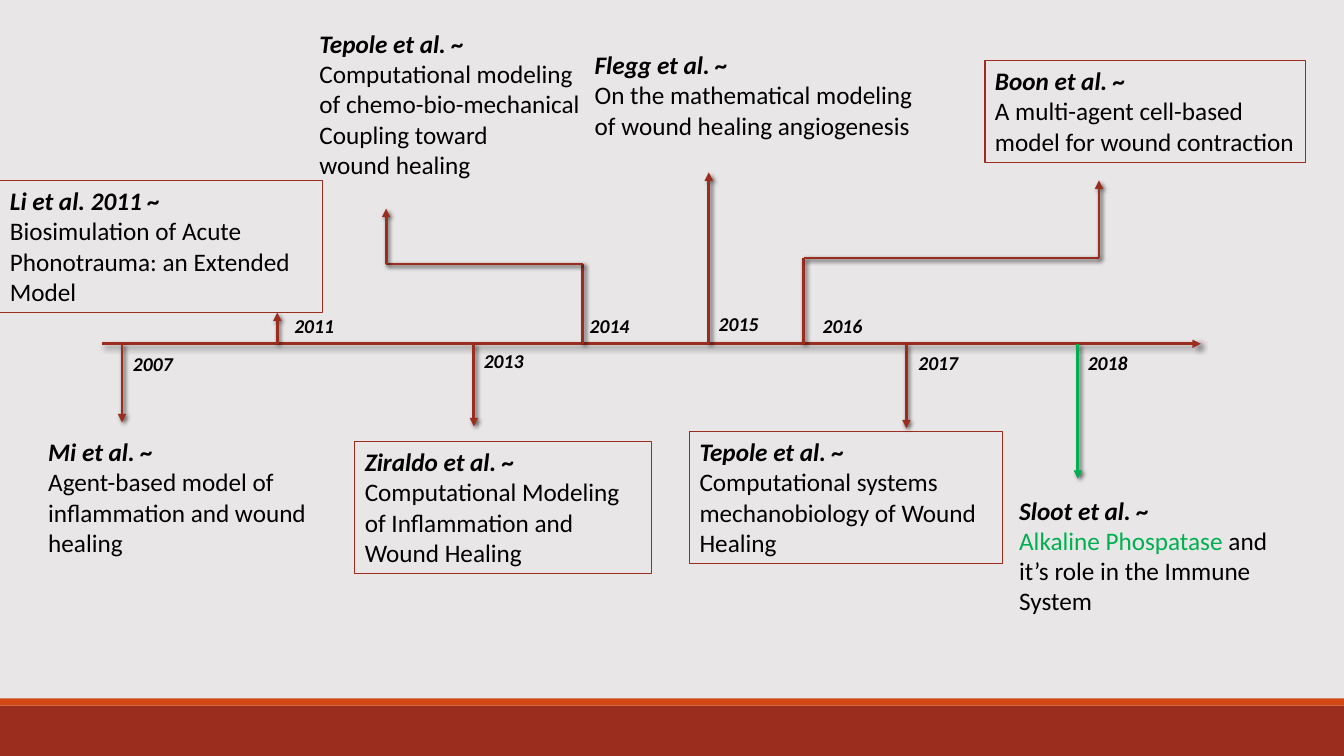
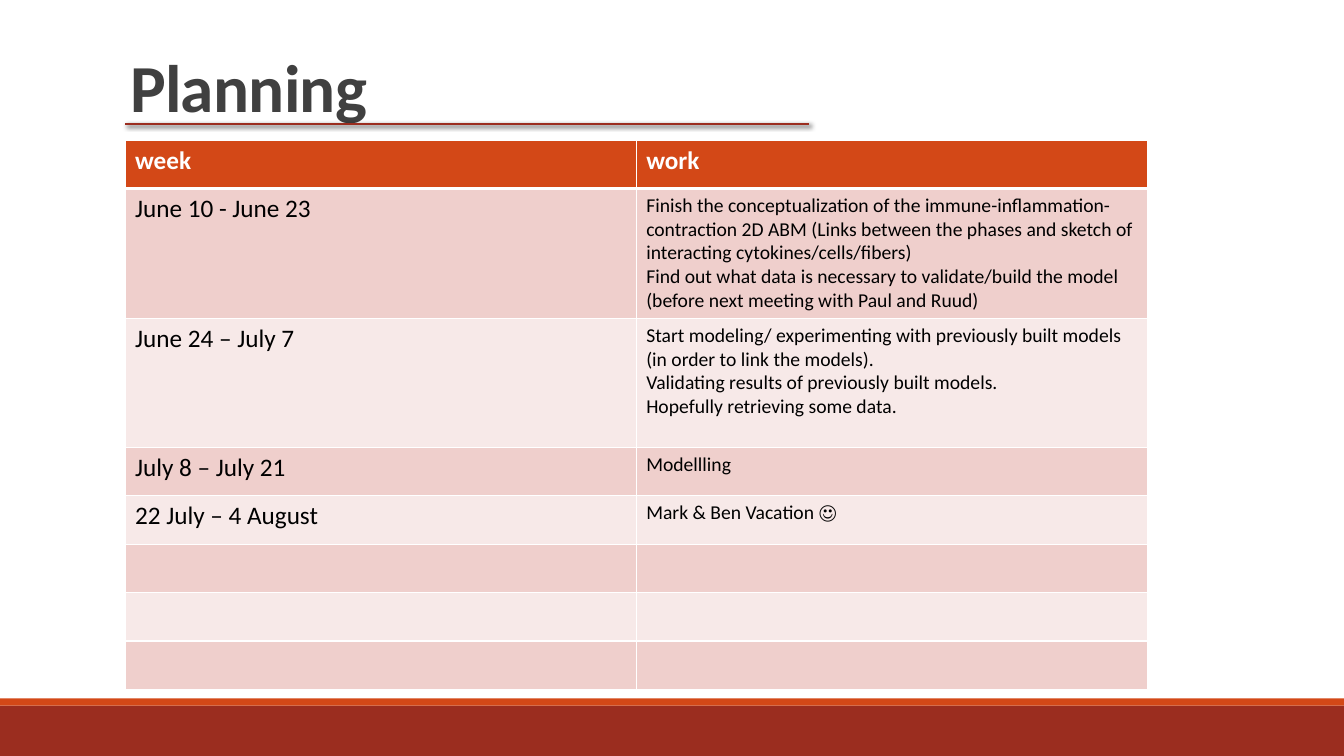
from dataclasses import dataclass
from typing import Optional

import pptx
import pptx.dml.color
import pptx.enum.shapes
import pptx.enum.text
import pptx.oxml
import pptx.oxml.ns
import pptx.presentation
import pptx.slide
import pptx.text.text
import pptx.util

Inches = pptx.util.Inches
Pt = pptx.util.Pt
Point = tuple[float, float]
Box = tuple[float, float, float, float]

# Shared look
FONT = "Calibri"
COLORS = {
    "brick": "9B2D1F", "orange": "D34817", "green": "00B050",
    "text": "000000", "title": "404040", "white": "FFFFFF",
    "timeline_bg": "E9E6E7", "row_dark": "EFCFCC", "row_light": "F7E9E8",
}
WIDTH, HEIGHT = 13.33, 7.5
AXIS_Y = 3.41
YEAR_SIZE = (0.82, 0.34)


@dataclass
class Span:
    text: str
    size: float = 18
    color: str = "text"
    bold: bool = False
    italic: bool = False


@dataclass
class Study:
    """A paper on the timeline, with the arrow that leads from the axis to it."""
    year: str
    year_at: Point
    route: list[Point]
    box: Box
    heading: str
    body: list[list[Span]]
    border: Optional[float] = None
    color: str = "brick"


@dataclass
class Period:
    week: str
    work: list[str]
    height: float = 0.48


STUDIES = [
    Study("2007", (1.22, 3.44), [(1.21, AXIS_Y), (1.21, 4.19)],
          (0.38, 4.28, 2.8, 1.31), "Mi et al. ~",
          [[Span("Agent-based model of inflammation and wound healing")]]),
    Study("2011", (2.82, 3.07), [(2.75, AXIS_Y), (2.75, 3.1)],
          (0, 1.79, 3.2, 1.31), "Li et al. 2011 ~",
          [[Span("Biosimulation of Acute Phonotrauma: an Extended Model")]], 0.75),
    Study("2013", (4.7, 3.41), [(4.7, AXIS_Y), (4.7, 4.23)],
          (3.52, 4.38, 2.94, 1.31), "Ziraldo et al. ~",
          [[Span("Computational Modeling of Inflammation and Wound Healing")]], 0.75),
    Study("2014", (5.75, 3.07),
          [(5.78, AXIS_Y), (5.78, 2.62), (3.83, 2.62), (3.83, 2.07)],
          (3.07, 0.23, 2.93, 1.62), "Tepole et al. ~",
          [[Span("Computational modeling of chemo-bio-mechanical")],
           [Span("Coupling toward")], [Span("wound healing")]]),
    Study("2015", (7.03, 3.05), [(7.03, AXIS_Y), (7.03, 1.71)],
          (5.8, 0.44, 3.36, 1.01), "Flegg et al. ~",
          [[Span("On the mathematical modeling of wound healing angiogenesis")]]),
    Study("2016", (8.06, 3.07),
          [(7.97, AXIS_Y), (7.97, 2.56), (10.9, 2.56), (10.9, 1.79)],
          (9.77, 0.6, 3.18, 1.01), "Boon et al. ~",
          [[Span("A multi-agent cell-based model for wound contraction")]], 1),
    Study("2017", (9.01, 3.43), [(8.99, AXIS_Y), (8.99, 4.25)],
          (6.84, 4.28, 3.1, 1.31), "Tepole et al. ~",
          [[Span("Computational systems mechanobiology of Wound Healing")]], 0.75),
    Study("2018", (10.69, 3.43), [(10.69, AXIS_Y), (10.69, 4.75)],
          (10.01, 4.86, 2.95, 1.62), "Sloot et al. ~",
          [[Span("Alkaline Phospatase ", color="green"),
            Span("and it’s role in the Immune System")]], color="green"),
]

PERIODS = [
    Period("June 10 - June 23", [
        "Finish the conceptualization of the immune-inflammation-contraction 2D ABM "
        "(Links between the phases and sketch of interacting cytokines/cells/fibers)",
        "Find out what data is necessary to validate/build the model "
        "(before next meeting with Paul and Ruud)"], 1.29),
    Period("June 24 – July 7", [
        "Start modeling/ experimenting with previously built models "
        "(in order to link the models).",
        "Validating results of previously built models.",
        "Hopefully retrieving some data."], 1.28),
    Period("July 8 – July 21", ["Modellling"]),
    Period("22 July – 4 August", ["Mark & Ben Vacation ☺"]),
    Period("", []),
    Period("", []),
    Period("", []),
]


def rgb(name: str) -> pptx.dml.color.RGBColor:
    return pptx.dml.color.RGBColor.from_string(COLORS[name])


def xml(markup: str):
    """Parse one element written with the a: prefix."""
    head, rest = markup.split(">", 1)
    slash = "/" if head.endswith("/") else ""
    return pptx.oxml.parse_xml(
        f"{head.rstrip('/')} {pptx.oxml.ns.nsdecls('a')}{slash}>{rest}")


def write(frame: pptx.text.text.TextFrame, paragraphs: list[list[Span]]) -> None:
    for index, spans in enumerate(paragraphs):
        paragraph = frame.paragraphs[0] if index == 0 else frame.add_paragraph()
        for span in spans:
            run = paragraph.add_run()
            run.text = span.text
            run.font.name = FONT
            run.font.size = Pt(span.size)
            run.font.bold = span.bold
            run.font.italic = span.italic
            run.font.color.rgb = rgb(span.color)


def add_text(slide: pptx.slide.Slide, box: Box, paragraphs: list[list[Span]],
             border: Optional[float] = None) -> None:
    label = slide.shapes.add_textbox(*map(Inches, box))
    label.text_frame.word_wrap = True
    write(label.text_frame, paragraphs)
    if border:
        label.line.color.rgb = rgb("brick")
        label.line.width = Pt(border)


def add_line(slide: pptx.slide.Slide, start: Point, end: Point,
             color: str = "brick", arrow: bool = False) -> None:
    line = slide.shapes.add_connector(
        pptx.enum.shapes.MSO_CONNECTOR.STRAIGHT, *map(Inches, start + end))
    line.line.color.rgb = rgb(color)
    line.line.width = Pt(2)
    if arrow:
        line.line._get_or_add_ln().append(xml('<a:tailEnd type="triangle"/>'))
    line._element.spPr.append(xml(
        f'<a:effectLst><a:outerShdw blurRad="{Pt(3)}" dist="{Pt(2)}" dir="2700000">'
        f'<a:srgbClr val="{COLORS["text"]}"><a:alpha val="60000"/></a:srgbClr>'
        '</a:outerShdw></a:effectLst>'))


def add_slide(deck: pptx.presentation.Presentation, layout: str,
              background: str) -> pptx.slide.Slide:
    slide = deck.slides.add_slide(deck.slide_layouts.get_by_name(layout))
    slide.background.fill.solid()
    slide.background.fill.fore_color.rgb = rgb(background)
    # Footer bands
    for top, height, color in ((7, 0.5, "brick"), (6.93, 0.07, "orange")):
        band = slide.shapes.add_shape(
            pptx.enum.shapes.MSO_SHAPE.RECTANGLE,
            *map(Inches, (0, top, WIDTH, height)))
        band.shadow.inherit = False
        band.fill.solid()
        band.fill.fore_color.rgb = rgb(color)
        band.line.fill.background()
    return slide


def set_title(slide: pptx.slide.Slide, text: str) -> None:
    title = slide.shapes.title
    title.left, title.top, title.width, title.height = map(
        Inches, (1.19, 0.4, 11.71, 0.83))
    frame = title.text_frame
    frame.auto_size = pptx.enum.text.MSO_AUTO_SIZE.NONE
    frame.vertical_anchor = pptx.enum.text.MSO_ANCHOR.TOP
    write(frame, [[Span(text, 48, "title", bold=True)]])
    frame.paragraphs[0].alignment = pptx.enum.text.PP_ALIGN.LEFT
    frame.paragraphs[0].runs[0].font._element.set("spc", "-50")


def fill_cell(cell, paragraphs: list[list[Span]], fill: str,
              bottom: float = 1, top: float = 1) -> None:
    write(cell.text_frame, paragraphs)
    properties = cell._tc.get_or_add_tcPr()
    for side, width in (("L", 1), ("R", 1), ("T", top), ("B", bottom)):
        properties.append(xml(
            f'<a:ln{side} w="{Pt(width)}"><a:solidFill>'
            f'<a:srgbClr val="{COLORS["white"]}"/></a:solidFill></a:ln{side}>'))
    cell.fill.solid()
    cell.fill.fore_color.rgb = rgb(fill)


def build_timeline(deck: pptx.presentation.Presentation) -> None:
    slide = add_slide(deck, "Blank", "timeline_bg")
    add_line(slide, (1.01, AXIS_Y), (11.91, AXIS_Y), arrow=True)
    for study in STUDIES:
        legs = list(zip(study.route, study.route[1:]))
        for start, end in legs:
            add_line(slide, start, end, study.color, arrow=end == study.route[-1])
        add_text(slide, study.year_at + YEAR_SIZE,
                 [[Span(study.year, 14, bold=True, italic=True)]])
        heading = Span(study.heading, bold=True, italic=True)
        add_text(slide, study.box, [[heading], *study.body], study.border)


def build_planning(deck: pptx.presentation.Presentation) -> None:
    slide = add_slide(deck, "Title Only", "white")
    set_title(slide, "Planning")
    add_line(slide, (1.24, 1.23), (8.02, 1.23))

    # Schedule
    heights = [0.48] + [period.height for period in PERIODS]
    schedule = slide.shapes.add_table(
        len(heights), 2, *map(Inches, (1.24, 1.39, 10.14, sum(heights)))).table
    for row, height in zip(schedule.rows, heights):
        row.height = Inches(height)
    for column, heading in enumerate(("week", "work")):
        fill_cell(schedule.cell(0, column),
                  [[Span(heading, color="white", bold=True)]], "orange", bottom=3)
    for row, period in enumerate(PERIODS, start=1):
        fill = "row_dark" if row % 2 else "row_light"
        top = 3 if row == 1 else 1
        week = [[Span(period.week)]] if period.week else []
        work = [[Span(task, 14)] for task in period.work]
        for column, paragraphs in enumerate((week, work)):
            fill_cell(schedule.cell(row, column), paragraphs, fill, top=top)


def main() -> None:
    deck = pptx.Presentation()
    deck.slide_width, deck.slide_height = Inches(WIDTH), Inches(HEIGHT)
    build_timeline(deck)
    build_planning(deck)
    deck.save("out.pptx")


if __name__ == "__main__":
    main()
